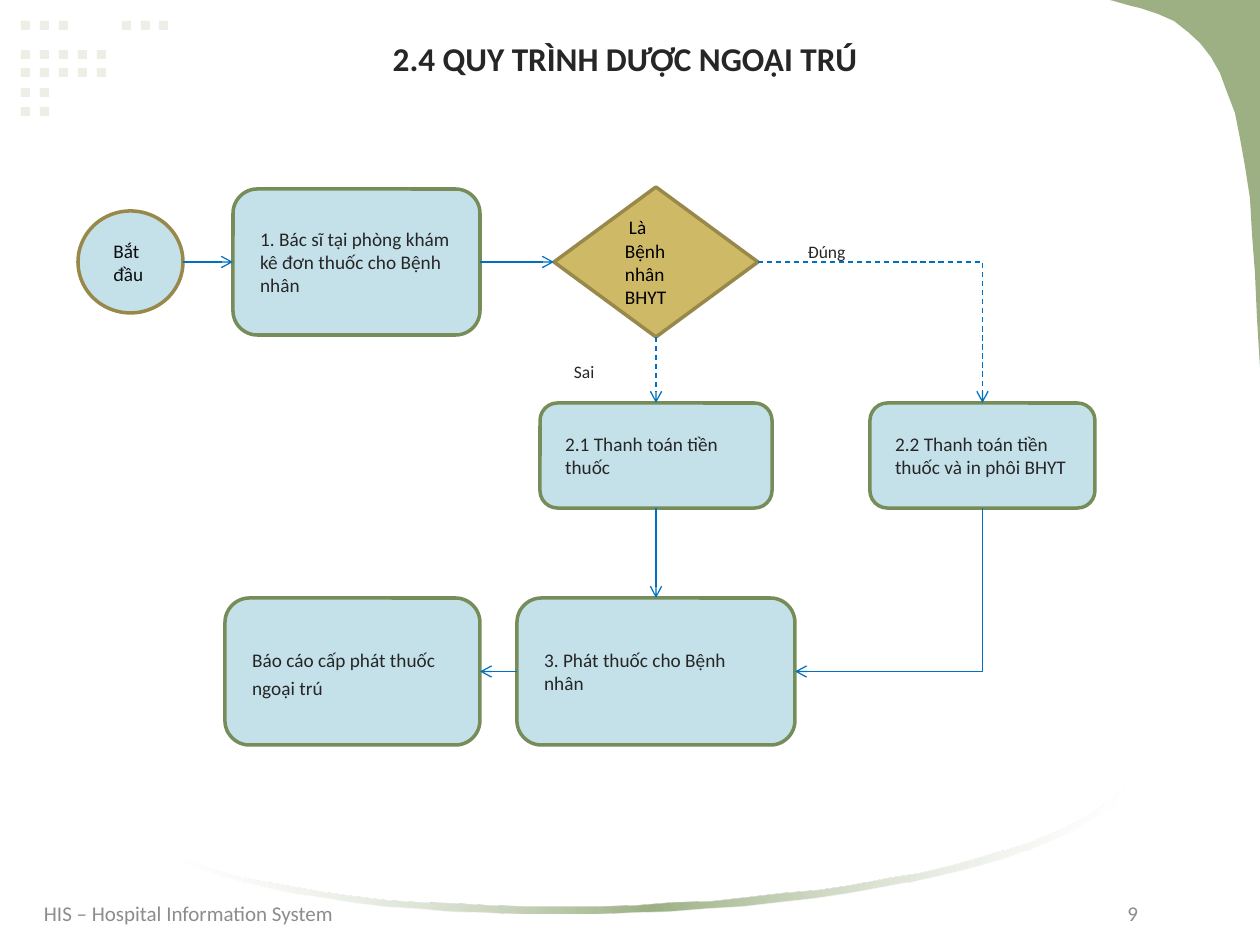
from pptx import Presentation
from pptx.dml.color import RGBColor
from pptx.enum.dml import MSO_LINE
from pptx.enum.shapes import MSO_CONNECTOR, MSO_SHAPE as SHAPE
from pptx.enum.text import MSO_ANCHOR as ANCHOR, MSO_AUTO_SIZE, PP_ALIGN
from pptx.oxml import parse_xml
from pptx.oxml.ns import nsdecls, qn
from pptx.util import Emu, Pt
from lxml.etree import SubElement

PX = 914400 / 126
FONT = "Calibri"
INK = RGBColor(0x26, 0x26, 0x26)
NEAR_BLACK = RGBColor(0x0D, 0x0D, 0x0D)
BLACK = RGBColor(0, 0, 0)
GREY = RGBColor(0x8C, 0x8C, 0x8C)
SKY = RGBColor(0xC4, 0xE0, 0xE9)
GOLD = RGBColor(0xCE, 0xB9, 0x66)
BRONZE = RGBColor(0x98, 0x89, 0x4B)
MOSS = RGBColor(0x76, 0x8D, 0x5A)
SAGE = RGBColor(0x9C, 0xB0, 0x84)
PALE = RGBColor(0xEB, 0xEF, 0xE6)
BLUE = RGBColor(0x00, 0x70, 0xC0)

TITLE = "2.4 QUY TRÌNH DƯỢC NGOẠI TRÚ"
FOOTER, PAGE = "HIS – Hospital Information System", "9"

# key: (preset, box in px, text, fill, outline, text colour, line spacing)
STEPS = {
    "start": (SHAPE.OVAL, (78, 211, 105, 102), "Bắt đầu", SKY, BRONZE, NEAR_BLACK, 1),
    "prescribe": (SHAPE.ROUNDED_RECTANGLE, (233, 189, 247, 146),
                  "1. Bác sĩ tại phòng khám kê đơn thuốc cho Bệnh nhân", SKY, MOSS, INK, 1),
    "insured": (SHAPE.FLOWCHART_DECISION, (554, 187, 204, 150),
                "Là Bệnh nhân BHYT", GOLD, BRONZE, BLACK, 1),
    "pay": (SHAPE.ROUNDED_RECTANGLE, (540, 403, 232, 105),
            "2.1 Thanh toán tiền thuốc", SKY, MOSS, INK, 1),
    "pay_print": (SHAPE.ROUNDED_RECTANGLE, (870, 403, 225, 105),
                  "2.2 Thanh toán tiền thuốc và in phôi BHYT", SKY, MOSS, INK, 1),
    "dispense": (SHAPE.ROUNDED_RECTANGLE, (517, 598, 278, 147),
                 "3. Phát thuốc cho Bệnh nhân", SKY, MOSS, INK, 1),
    "report": (SHAPE.ROUNDED_RECTANGLE, (225, 598, 255, 147),
               "Báo cáo cấp phát thuốc ngoại trú", SKY, MOSS, INK, 1.2),
}
TOP, LEFT, BOTTOM, RIGHT = range(4)
OVAL_RIGHT = 6  # an ellipse has eight connection sites
# from, side, to, side, dashed
FLOWS = [
    ("start", RIGHT, "prescribe", LEFT, False),
    ("prescribe", RIGHT, "insured", LEFT, False),
    ("insured", RIGHT, "pay_print", TOP, True),
    ("insured", BOTTOM, "pay", TOP, True),
    ("pay", BOTTOM, "dispense", TOP, False),
    ("pay_print", BOTTOM, "dispense", RIGHT, False),
    ("dispense", LEFT, "report", RIGHT, False),
]
ANSWERS = [("Đúng", (788, 231, 188, 41)), ("Sai", (554, 351, 158, 41))]

DOT_COLUMNS = (21, 40, 59, 78, 97, 122, 141, 159)
DOT_ROWS = [(21, "111..111"), (50, "11111"), (68, "11111"), (88, "11"), (107, "11")]
CORNER = [(1110, 0), (1260, 0), (1260, 367), (1257, 317), (1255, 273), (1252, 233),
          (1250, 198), (1245, 166), (1240, 138), (1235, 113), (1227, 92), (1220, 73),
          (1211, 57), (1200, 43), (1188, 32), (1174, 21), (1158, 14), (1140, 8), (1131, 6)]
SWOOSH = [(1124, 788), (1124, 796), (1110, 808), (1092, 819), (1074, 830), (1052, 840),
          (1028, 850), (1002, 859), (974, 867), (945, 874), (914, 881), (882, 887),
          (848, 893), (814, 898), (777, 902), (742, 906), (706, 908), (669, 911),
          (631, 912), (595, 914), (522, 914), (485, 912), (450, 911), (416, 908),
          (383, 906), (352, 902), (321, 897), (292, 893), (265, 887), (241, 881),
          (217, 874), (197, 867), (179, 859), (179, 856), (197, 863), (218, 871),
          (242, 877), (267, 882), (295, 887), (324, 892), (354, 896), (387, 900),
          (420, 902), (455, 903), (490, 905), (525, 906), (600, 906), (636, 905),
          (673, 902), (711, 901), (747, 897), (782, 893), (818, 890), (852, 885),
          (886, 878), (919, 873), (949, 866), (978, 858), (1005, 850), (1031, 842),
          (1055, 832), (1076, 822), (1094, 811), (1110, 800)]


def px(*lengths):
    return [Emu(round(length * PX)) for length in lengths]


def write(shape, text, size, color, inset=(20, 10), anchor=ANCHOR.TOP,
          align=PP_ALIGN.LEFT, spacing=1, bold=False):
    frame = shape.text_frame
    frame.word_wrap = True
    frame.auto_size = MSO_AUTO_SIZE.NONE
    frame.vertical_anchor = anchor
    frame.margin_left = frame.margin_right = px(inset[0])[0]
    frame.margin_top = frame.margin_bottom = px(inset[1])[0]
    paragraph = frame.paragraphs[0]
    paragraph.alignment, paragraph.line_spacing = align, spacing
    run = paragraph.add_run()
    run.text = text
    run.font.name, run.font.size, run.font.bold = FONT, Pt(size), bold
    run.font.color.rgb = color
    return paragraph


def paint(shape, fill, outline=None):
    shape.shadow.inherit = False
    shape.fill.solid()
    shape.fill.fore_color.rgb = fill
    if outline is None:
        shape.line.fill.background()
    else:
        shape.line.color.rgb, shape.line.width = outline, Pt(2)


def outline_shape(shapes, points):
    builder = shapes.build_freeform(*points[0], scale=PX)
    builder.add_line_segments(points[1:], close=True)
    shape = builder.convert_to_shape()
    paint(shape, SAGE)
    return shape


def fade_ends(shape):
    stops = "".join(
        f'<a:gs pos="{pos}"><a:srgbClr val="{color}"><a:alpha val="{alpha}"/></a:srgbClr></a:gs>'
        for pos, color, alpha in [(0, "FFFFFF", 30000), (50000, SAGE, 100000),
                                  (100000, "FFFFFF", 30000)])
    gradient = parse_xml(f'<a:gradFill {nsdecls("a")}><a:gsLst>{stops}</a:gsLst>'
                         '<a:lin ang="0" scaled="0"/></a:gradFill>')
    properties = shape._element.spPr
    properties.replace(properties.find(qn("a:solidFill")), gradient)


def turn_down_then_left(arrow):
    """Rotate a one-bend connector a quarter turn about its centre."""
    left, top, width, height = arrow.left, arrow.top, arrow.width, arrow.height
    arrow.left = Emu(left + (width - height) // 2)
    arrow.top = Emu(top + (height - width) // 2)
    arrow.width, arrow.height = height, width
    transform = arrow._element.spPr.find(qn("a:xfrm"))
    transform.attrib.pop("flipH", None)
    transform.set("rot", "5400000")


def connect(shapes, source, source_side, target, target_side, dashed):
    bent = (source_side in (TOP, BOTTOM)) != (target_side in (TOP, BOTTOM))
    kind = MSO_CONNECTOR.ELBOW if bent else MSO_CONNECTOR.STRAIGHT
    arrow = shapes.add_connector(kind, 0, 0, 0, 0)
    arrow.begin_connect(source, source_side)
    arrow.end_connect(target, target_side)
    if source.auto_shape_type == SHAPE.OVAL:
        next(arrow._element.iter(qn("a:stCxn"))).set("idx", str(OVAL_RIGHT))
    properties = arrow._element.spPr
    if bent:
        properties.find(qn("a:prstGeom")).set("prst", "bentConnector2")
        if source_side == BOTTOM:
            turn_down_then_left(arrow)
    arrow.line.color.rgb, arrow.line.width = BLUE, Pt(0.75)
    if dashed:
        arrow.line.dash_style = MSO_LINE.DASH
    SubElement(properties.find(qn("a:ln")), qn("a:tailEnd"), type="arrow")
    SubElement(properties, qn("a:effectLst"))


def main():
    deck = Presentation()
    deck.slide_width, deck.slide_height = px(1260, 945)
    slide = deck.slides.add_slide(deck.slide_layouts[5])
    shapes = slide.shapes

    # Background decoration
    for y, pattern in DOT_ROWS:
        for x, mark in zip(DOT_COLUMNS, pattern):
            if mark == "1":
                paint(shapes.add_shape(SHAPE.RECTANGLE, *px(x, y, 9, 9)), PALE)
    outline_shape(shapes, CORNER)
    fade_ends(outline_shape(shapes, SWOOSH))

    # Title
    title = shapes.title
    title.left, title.top, title.width, title.height = px(74, 10, 1102, 73)
    write(title, TITLE, 19, INK, (14, 8), align=PP_ALIGN.CENTER, spacing=1.5, bold=True)

    # Footer with the page number on a right tab
    footer = shapes.add_textbox(*px(32, 891, 1197, 44))
    line = write(footer, f"{FOOTER}\t{PAGE}", 12, GREY, (12, 6), ANCHOR.MIDDLE)
    tabs = SubElement(line._p.get_or_add_pPr(), qn("a:tabLst"))
    SubElement(tabs, qn("a:tab"), pos=str(px(1094)[0]), algn="r")

    # Flowchart
    steps = {}
    for key, (preset, box, text, fill, outline, ink, spacing) in STEPS.items():
        step = steps[key] = shapes.add_shape(preset, *px(*box))
        paint(step, fill, outline)
        paragraph = write(step, text, 11, ink, anchor=ANCHOR.MIDDLE, spacing=spacing)
        if key == "insured":
            paragraph._p.get_or_add_pPr().set("indent", str(px(4)[0]))
    for source, source_side, target, target_side, dashed in FLOWS:
        connect(shapes, steps[source], source_side, steps[target], target_side, dashed)
    for text, box in ANSWERS:
        write(shapes.add_textbox(*px(*box)), text, 10, INK)

    deck.save("out.pptx")


if __name__ == "__main__":
    main()
